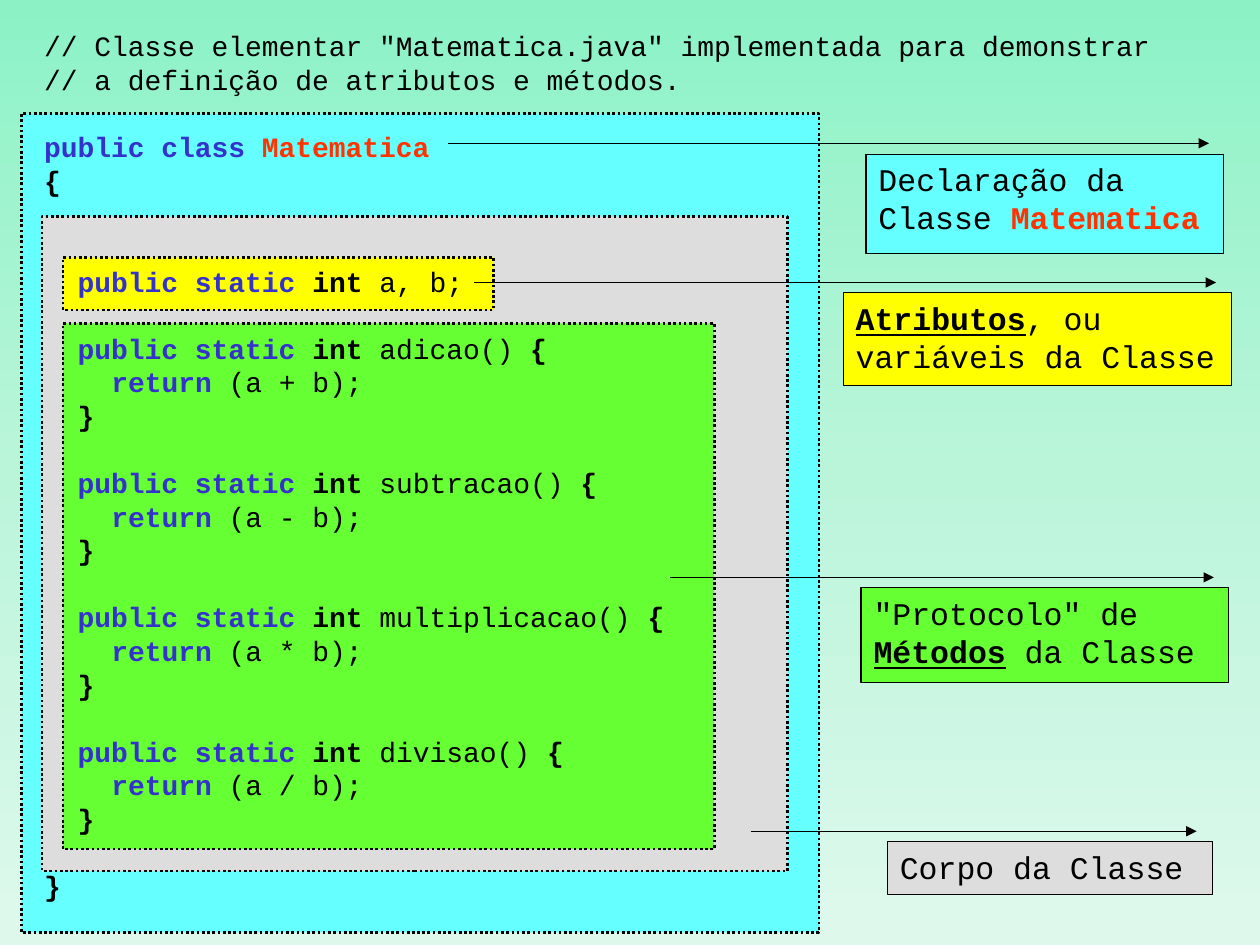
from copy import deepcopy
from pptx import Presentation
from pptx.dml.color import RGBColor
from pptx.enum.dml import MSO_LINE
from pptx.enum.shapes import MSO_SHAPE
from pptx.enum.text import MSO_ANCHOR, PP_ALIGN
from pptx.oxml.ns import qn
from pptx.oxml.xmlchemy import OxmlElement
from pptx.util import Cm, Pt

BLACK, BLUE, RED = "000000", "3333CC", "FF3300"
CYAN, GRAY, GREEN, YELLOW = "66FFFF", "DDDDDD", "66FF33", "FFFF00"
PITCH = 19.2  # height of one code line, and width of two characters, in points


def draw(kind, place, color, weight):
    shape = slide.shapes.add_shape(kind, *[Cm(n) for n in place])
    shape.shadow.inherit = False
    shape.fill.solid()
    shape.fill.fore_color.rgb = RGBColor.from_string(color)
    shape.line.color.rgb = RGBColor.from_string(BLACK)
    shape.line.width = Pt(weight)
    return shape


def write(par, size, parts):
    """Fill a paragraph from (text, colour, marks); marks hold b and u."""
    par.alignment = PP_ALIGN.LEFT
    for text, color, marks in parts:
        run = par.add_run()
        run.text = text
        run.font.name = "Courier New"
        run.font.size = Pt(size)
        run.font.color.rgb = RGBColor.from_string(color)
        run.font.bold = "b" in marks
        run.font.underline = "u" in marks


deck = Presentation()
deck.slide_width, deck.slide_height = Cm(25.4), Cm(19.05)
slide = deck.slides.add_slide(deck.slide_layouts[6])

# Background: three stops, from top to bottom
back = slide.background.fill
back.gradient()
back.gradient_angle = 270
stops = slide.element.find(".//" + qn("a:gsLst"))
stops.insert(1, deepcopy(stops[0]))
for stop, spot, color in zip(back.gradient_stops, (0, 0.5, 1),
                             ("8CF2C6", "BAF5DA", "DEF9EC")):
    stop.position = spot
    stop.color.rgb = RGBColor.from_string(color)

# Nested areas of the class
for place, color in [
    ((0.43, 2.29, 16.08, 16.51), CYAN),
    ((0.85, 4.37, 15.03, 13.19), GRAY),
    ((1.27, 6.52, 13.13, 10.6), GREEN),
    ((1.27, 5.19, 8.68, 1.06), YELLOW),
]:
    area = draw(MSO_SHAPE.RECTANGLE, place, color, 1.5)
    area.line.dash_style = MSO_LINE.ROUND_DOT

# Callouts: place, colour, then height, start and end of the pointer
for place, color, (rise, start, end), parts in [
    ((17.46, 3.11, 7.2, 2), CYAN, (-0.11, 0.96, -1.17),
     [("Declaração da Classe ", BLACK, ""), ("Matematica", RED, "b")]),
    ((17.89, 16.97, 6.56, 1.06), GRAY, (-0.2, 0.95, -0.42),
     [("Corpo da Classe", BLACK, "")]),
    ((17.36, 11.85, 7.41, 1.91), GREEN, (-0.11, 0.96, -0.52),
     [('"Protocolo" de ', BLACK, ""), ("Métodos", BLACK, "bu"),
      (" da Classe", BLACK, "")]),
    ((17, 5.9, 7.83, 1.87), YELLOW, (-0.11, 0.96, -0.95),
     [("Atributos", BLACK, "bu"), (", ou variáveis da Classe", BLACK, "")]),
]:
    note = draw(MSO_SHAPE.LINE_CALLOUT_1, place, color, 0.75)
    for k, value in enumerate((rise, start, rise, end)):
        note.adjustments[k] = value
    head = OxmlElement("a:headEnd")
    head.set("type", "triangle")
    note.line._get_or_add_ln().append(head)
    note.text_frame.word_wrap = True
    note.text_frame.vertical_anchor = MSO_ANCHOR.TOP
    write(note.text_frame.paragraphs[0], 18, parts)

# Code lines: indent steps, blank lines above, parts
static = [("public static ", BLUE, "b"), ("int", BLACK, "b")]
code = [
    (0, 0, [('// Classe elementar "Matematica.java" implementada para demonstrar',
             BLACK, "")]),
    (0, 0, [("// a definição de atributos e métodos.", BLACK, "")]),
    (0, 1, [("public class ", BLUE, "b"), ("Matematica", RED, "b")]),
    (0, 0, [("{", BLACK, "b")]),
    (1, 2, static + [(" a, b;", BLACK, "")]),
]
for name, sign in [("adicao", "+"), ("subtracao", "-"),
                   ("multiplicacao", "*"), ("divisao", "/")]:
    code += [
        (1, 1, static + [(f" {name}() ", BLACK, ""), ("{", BLACK, "b")]),
        (2, 0, [("return", BLUE, "b"), (f" (a {sign} b);", BLACK, "")]),
        (1, 0, [("}", BLACK, "b")]),
    ]
code.append((0, 1, [("}", BLACK, "b")]))

box = slide.shapes.add_textbox(Cm(0.64), Cm(0.46), Cm(24.2), Cm(17.9))
frame = box.text_frame
frame.word_wrap = True
for k, (step, gap, parts) in enumerate(code):
    par = frame.add_paragraph() if k else frame.paragraphs[0]
    par.space_before = Pt(gap * PITCH)
    par._p.get_or_add_pPr().set("marL", str(Pt(step * PITCH)))
    write(par, 16, parts)

deck.save("out.pptx")
